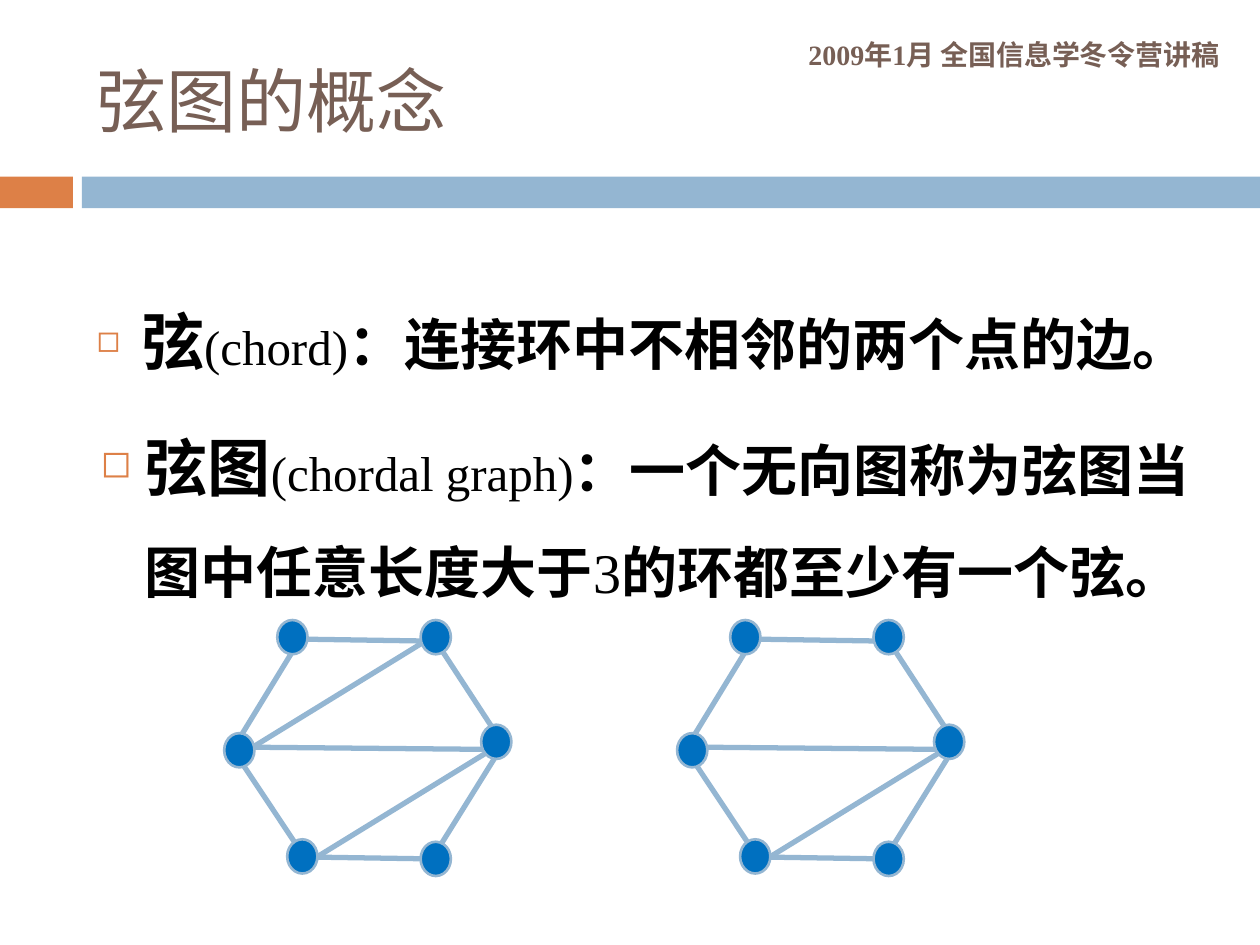
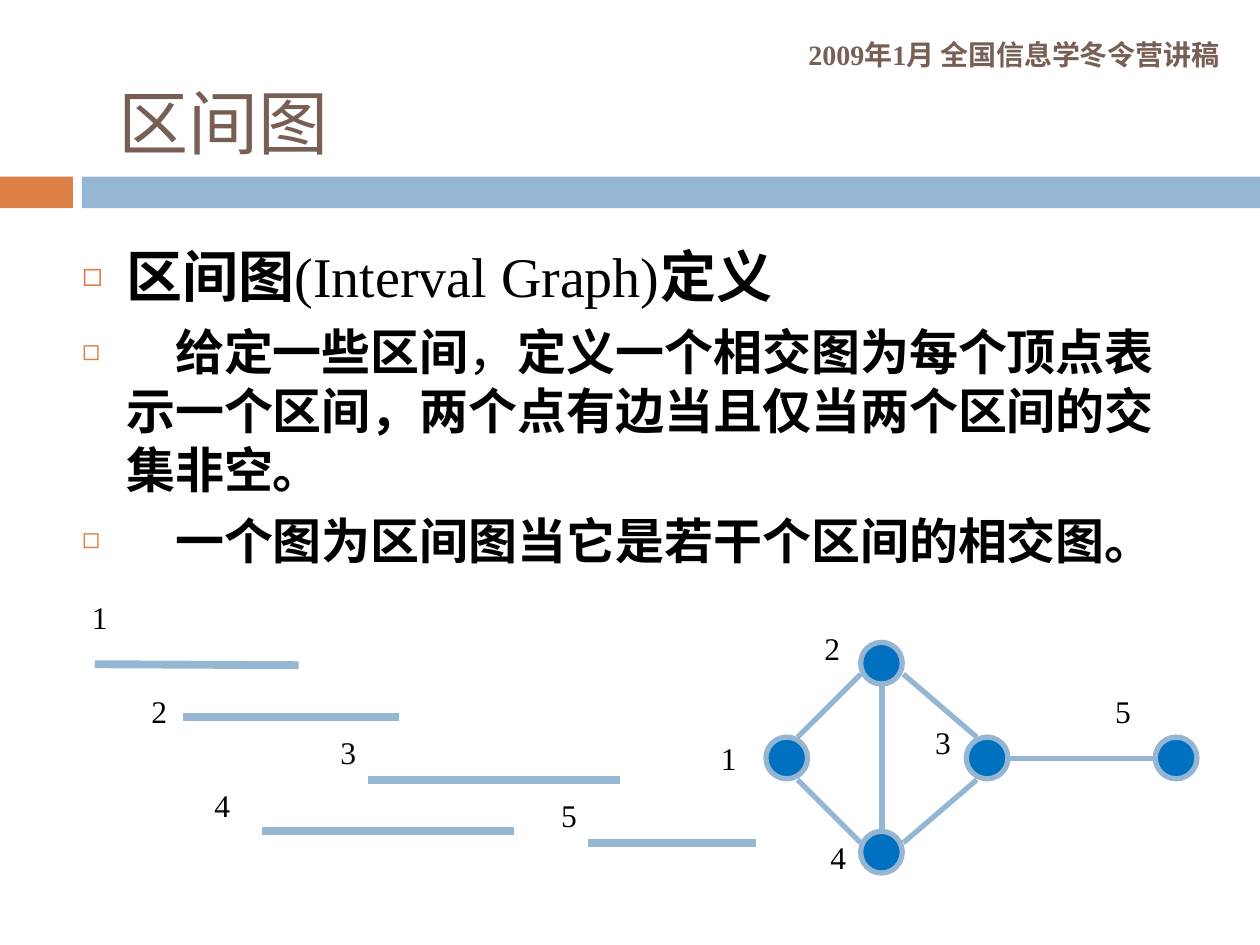
import pptx
import pptx.dml.color
import pptx.enum.shapes
import pptx.enum.text
import pptx.oxml
import pptx.oxml.ns
import pptx.util
from lxml import etree

Cm, Pt = pptx.util.Cm, pptx.util.Pt
ALIGN = pptx.enum.text.PP_ALIGN
MIDDLE = pptx.enum.text.MSO_ANCHOR.MIDDLE
SHAPE = pptx.enum.shapes.MSO_SHAPE

BROWN, ORANGE, BLUE, NODE_BLUE, BLACK = "775F55", "DD8047", "94B6D2", "0070C0", "000000"
SERIF, SANS = "Times New Roman", "Noto Sans CJK SC"
HANGING = 0.89

# Hexagon on slide 1: left/top of each vertex, then the edges, in cm
HEXAGON_VERTICES = [(5.59, 12.5), (8.48, 12.5), (4.52, 14.78),
                    (9.7, 14.61), (5.79, 16.92), (8.48, 16.97)]
HEXAGON_EDGES = [(8.79, 12.93, 10.03, 14.83), (4.85, 15.34, 6.1, 17.22),
                 (4.78, 15.06, 10.21, 15.11), (10.06, 15.14, 8.81, 17.15),
                 (5.99, 12.98, 4.78, 14.96), (5.79, 17.27, 9.07, 17.32),
                 (5.82, 12.88, 9.09, 12.93), (9.83, 15.16, 6.43, 17.25)]
MISSING_CHORD = (8.53, 12.95, 5.13, 15.04)
HEXAGON_STEP = 9.13

# Slide 2: number -> (label position, interval ends)
INTERVALS = {
    "1": ((1.54, 11.93), (1.91, 13.39, 6.02, 13.41)),
    "2": ((2.74, 13.82), (3.68, 14.45, 8.05, 14.45)),
    "3": ((6.55, 14.66), (7.42, 15.72, 12.5, 15.72)),
    "4": ((4.01, 15.72), (5.28, 16.76, 10.36, 16.76)),
    "5": ((11, 15.93), (11.86, 16.99, 15.24, 16.99)),
}
# Slide 2: number -> (label position, vertex position)
INTERVAL_VERTICES = {
    "1": ((14.22, 14.78), (15.44, 14.86)),
    "2": ((16.31, 12.55), (17.35, 12.95)),
    "3": ((18.54, 14.45), (19.48, 14.86)),
    "4": ((16.43, 16.76), (17.35, 16.76)),
    "5": ((22.17, 13.82), (23.29, 14.86)),
}
INTERVAL_EDGES = [(16.08, 14.86, 17.35, 13.59), (18.21, 13.59, 19.69, 14.86),
                  (16.08, 15.72, 17.35, 16.99), (18.21, 16.99, 19.69, 15.72),
                  (20.32, 15.29, 23.29, 15.29), (17.78, 13.82, 17.78, 16.76)]


def rgb(value):
    return pptx.dml.color.RGBColor.from_string(value)


def set_all(target, values):
    for name, value in values.items():
        setattr(target, name, value)


def place(shape, left, top, width, height):
    set_all(shape, {"left": Cm(left), "top": Cm(top),
                    "width": Cm(width), "height": Cm(height)})


def add_run(paragraph, text, size, bold=False, color=BLACK, latin=SERIF):
    run = paragraph.add_run()
    run.text = text
    set_all(run.font, {"size": Pt(size), "bold": bold, "name": latin})
    run.font.color.rgb = rgb(color)
    east_asian = etree.SubElement(run.font._element, pptx.oxml.ns.qn("a:ea"))
    east_asian.set("typeface", SANS)


def add_bullet(paragraph):
    properties = paragraph._p.get_or_add_pPr()
    properties.set("marL", str(Cm(HANGING)))
    properties.set("indent", str(-Cm(HANGING)))
    ns = pptx.oxml.ns.nsdecls("a")
    for xml in (f'<a:buClr {ns}><a:srgbClr val="{ORANGE}"/></a:buClr>',
                f'<a:buSzPct {ns} val="60000"/>',
                f'<a:buChar {ns} char="◻"/>'):
        properties.append(pptx.oxml.parse_xml(xml))


def fill_bullets(shape, box, items, spacing):
    """Each item is a list of (text, size, bold) runs."""
    place(shape, *box)
    frame = shape.text_frame
    set_all(frame, {"word_wrap": True, "auto_size": pptx.enum.text.MSO_AUTO_SIZE.NONE})
    for index, runs in enumerate(items):
        paragraph = frame.add_paragraph() if index else frame.paragraphs[0]
        set_all(paragraph, spacing)
        add_bullet(paragraph)
        for run in runs:
            add_run(paragraph, *run)


def add_text(shapes, box, text, align, **font):
    shape = shapes.add_textbox(*map(Cm, box))
    shape.text_frame.word_wrap = True
    paragraph = shape.text_frame.paragraphs[0]
    paragraph.alignment = align
    add_run(paragraph, text, **font)
    return shape


def add_label(shapes, number, position):
    add_text(shapes, (*position, 0.94, 1.27), number, ALIGN.CENTER, size=18)


def add_filled(shapes, kind, box, fill, outline=None):
    shape = shapes.add_shape(kind, *map(Cm, box))
    shape.shadow.inherit = False
    shape.fill.solid()
    shape.fill.fore_color.rgb = rgb(fill)
    if outline:
        shape.line.color.rgb = rgb(BLUE)
        shape.line.width = Pt(outline)
    else:
        shape.line.fill.background()
    return shape


def add_line(shapes, ends, width=3):
    line = shapes.add_connector(pptx.enum.shapes.MSO_CONNECTOR.STRAIGHT, *map(Cm, ends))
    line.line.color.rgb = rgb(BLUE)
    line.line.width = Pt(width)
    etree.SubElement(line._element.spPr, pptx.oxml.ns.qn("a:effectLst"))


def add_graph(shapes, vertices, edges, size, outline):
    for edge in edges:
        add_line(shapes, edge)
    for vertex in vertices:
        add_filled(shapes, SHAPE.OVAL, (*vertex, *size), NODE_BLUE, outline)


def add_hexagon(slide, edges, shift):
    vertices = [(x + shift, y) for x, y in HEXAGON_VERTICES]
    edges = [(x1 + shift, y1, x2 + shift, y2) for x1, y1, x2, y2 in edges]
    add_graph(slide.shapes.add_group_shape().shapes, vertices, edges, (0.61, 0.69), 1.5)


def add_titled_slide(prs, title, left, top):
    slide = prs.slides.add_slide(prs.slide_layouts[1])
    heading = slide.shapes.title
    place(heading, left, top, 22.66, 2.74)
    heading.text_frame.vertical_anchor = MIDDLE
    paragraph = heading.text_frame.paragraphs[0]
    paragraph.alignment = ALIGN.LEFT
    add_run(paragraph, title, 40, color=BROWN, latin=SANS)
    return slide


def move_bands_to_layout(slide):
    """Draw the bands and the header line, then let the layout hold them."""
    shapes = slide.shapes
    header = add_text(shapes, (8.53, 0.58, 16.31, 1.02), "2009年1月 全国信息学冬令营讲稿",
                      ALIGN.RIGHT, size=16, bold=True, color=BROWN)
    header.text_frame.vertical_anchor = MIDDLE
    bands = [add_filled(shapes, SHAPE.RECTANGLE, (left, 3.56, width, 0.64), color)
             for left, width, color in ((0, 1.47, ORANGE), (1.65, 23.75, BLUE))]
    for shape in (*bands, header):
        slide.slide_layout.shapes.element.append(shape.element)


def build_chordal_slide(prs):
    slide = add_titled_slide(prs, "弦图的概念", 1.7, 0.64)
    move_bands_to_layout(slide)
    spacing = {"line_spacing": 1.5, "space_before": Pt(36)}
    chord = [("弦", 36, True), ("(chord)", 28), ("：连接环中不相邻的两个点的边。", 32, True)]
    chordal = [("弦图", 36, True), ("(chordal graph)", 28),
               ("：一个无向图称为弦图当图中任意长度大于", 32, True), ("3", 32),
               ("的环都至少有一个弦。", 32, True)]
    fill_bullets(slide.placeholders[1], (1.7, 5.21, 22.5, 2.72), [chord], spacing)
    box = (1.78, 7.75, 22.5, 4.78)
    fill_bullets(slide.shapes.add_textbox(*map(Cm, box)), box, [chordal], spacing)
    add_hexagon(slide, HEXAGON_EDGES + [MISSING_CHORD], 0)
    add_hexagon(slide, HEXAGON_EDGES, HEXAGON_STEP)


def build_interval_slide(prs):
    slide = add_titled_slide(prs, "区间图", 2.13, 1.07)
    items = [
        [("区间图", 32, True), ("(Interval Graph)", 32), ("定义", 32, True)],
        [("　给定一些区间", 28, True), ("，", 28),
         ("定义一个相交图为每个顶点表示一个区间，两个点有边当且仅当两个区间的交集非空。", 28, True)],
        [("　一个图为区间图当它是若干个区间的相交图。", 28, True)],
    ]
    fill_bullets(slide.placeholders[1], (1.4, 4.75, 22.66, 7.34), items,
                 {"line_spacing": 1.0, "space_before": Pt(7)})
    for number, (label, ends) in INTERVALS.items():
        add_line(slide.shapes, ends, 4.5)
        add_label(slide.shapes, number, label)
    vertices = [vertex for _, vertex in INTERVAL_VERTICES.values()]
    add_graph(slide.shapes, vertices, INTERVAL_EDGES, (0.84, 0.84), 3)
    for number, (label, _) in INTERVAL_VERTICES.items():
        add_label(slide.shapes, number, label)


def main():
    prs = pptx.Presentation()
    prs.slide_width, prs.slide_height = Cm(25.4), Cm(19.05)
    build_chordal_slide(prs)
    build_interval_slide(prs)
    prs.save("out.pptx")


if __name__ == "__main__":
    main()
